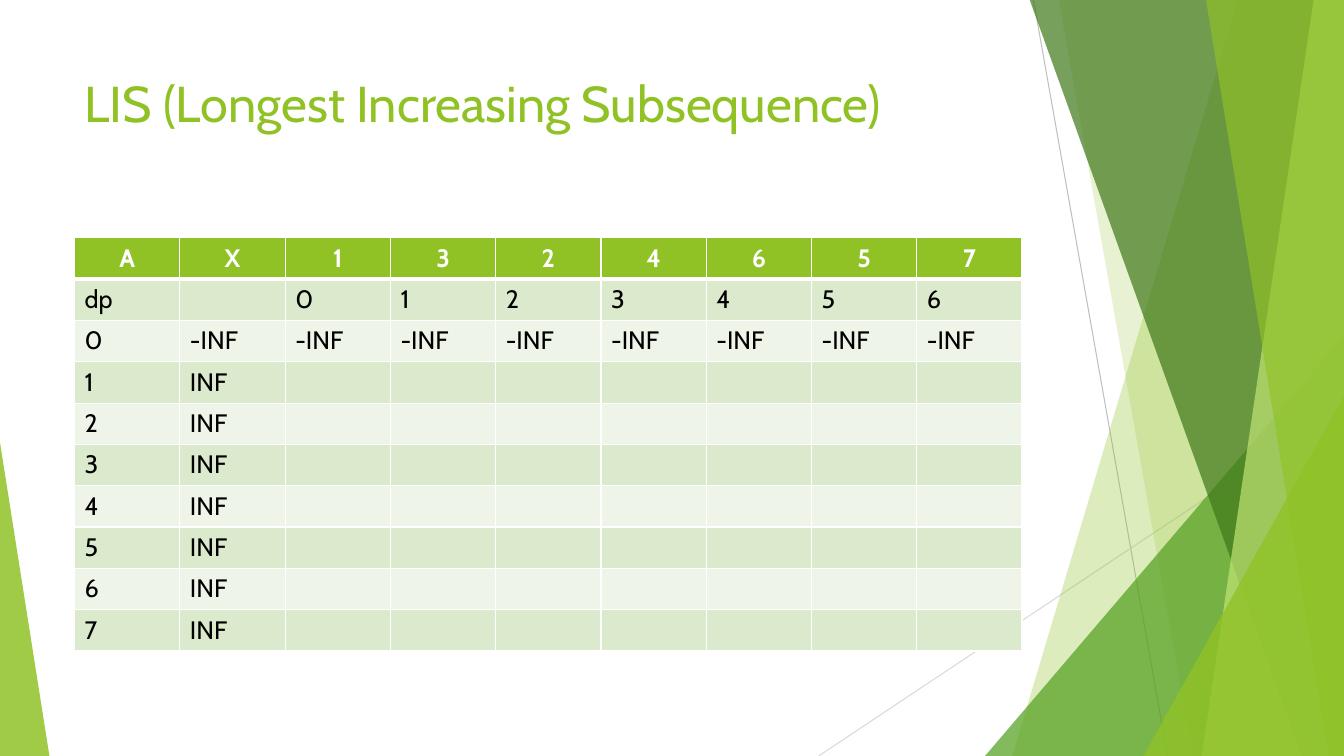
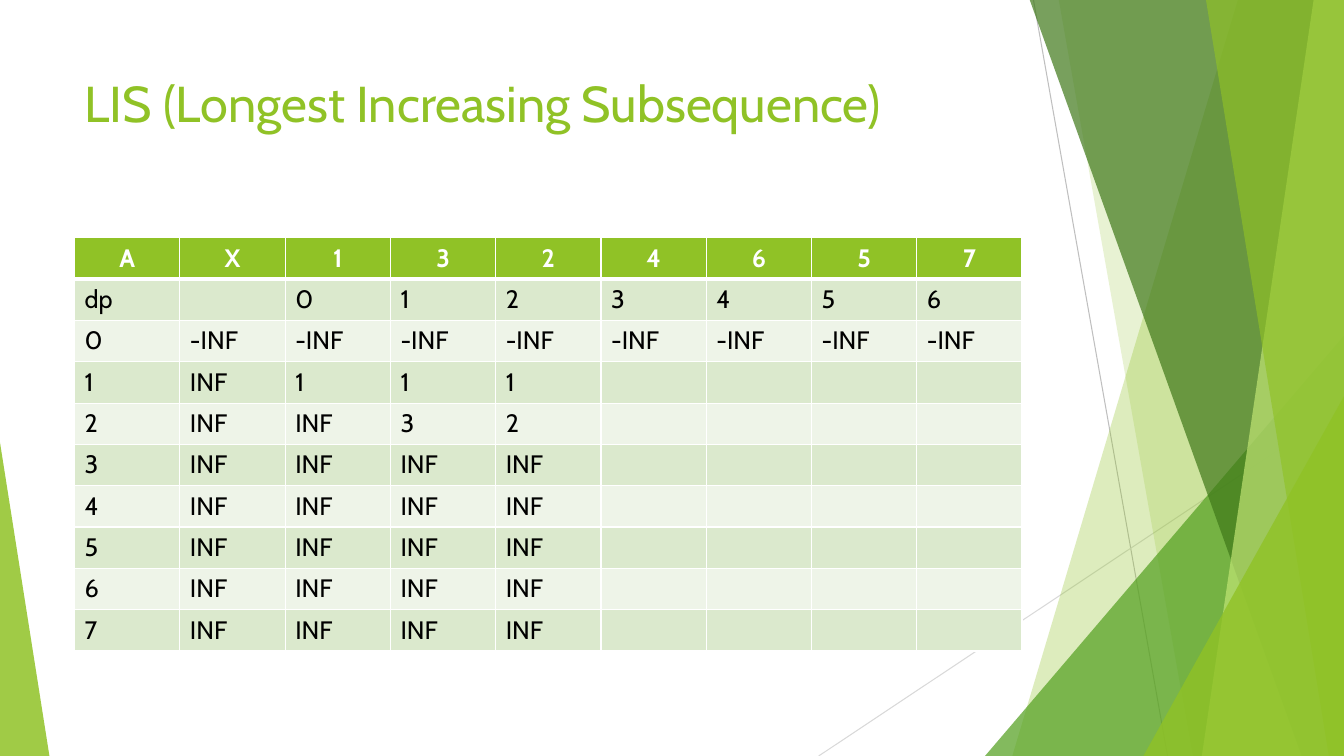
import pptx
import pptx.dml.color
import pptx.enum.shapes
import pptx.enum.text
import pptx.oxml
import pptx.oxml.ns
import pptx.util
from lxml import etree

Inches = pptx.util.Inches
Pt = pptx.util.Pt
RGBColor = pptx.dml.color.RGBColor

GREEN = RGBColor(0x90, 0xC2, 0x26)
LEAF = RGBColor(0x54, 0xA0, 0x21)
FOREST = RGBColor(0x3F, 0x78, 0x19)
LIME = RGBColor(0xC0, 0xE4, 0x74)
BAND_DARK = RGBColor(0xDB, 0xE9, 0xCD)
BAND_LIGHT = RGBColor(0xEE, 0xF4, 0xE8)
GREY = RGBColor(0xBF, 0xBF, 0xBF)
PALE_GREY = RGBColor(0xD9, 0xD9, 0xD9)
WHITE = RGBColor(0xFF, 0xFF, 0xFF)
BLACK = RGBColor(0, 0, 0)
FONT = "Cabin"

WIDTH, HEIGHT = 13.33, 7.5
LEFT, CONTENT_WIDTH = 0.74, 9.4
TABLE_TOP, ROW_HEIGHT = 2.36, 0.41
FACET_TOP = -0.01

TITLE = "LIS (Longest Increasing Subsequence)"
SEQUENCE = ["A", "X", "1", "3", "2", "4", "6", "5", "7"]
INDEXES = ["dp", "", "0", "1", "2", "3", "4", "5", "6"]
LENGTHS = range(1, 8)
START = ["INF"] * 7
AFTER_1 = ["1"] + ["INF"] * 6
AFTER_3 = ["1", "3"] + ["INF"] * 5
AFTER_2 = ["1", "2"] + ["INF"] * 5
STAGES = [[START], [START, AFTER_1, AFTER_3, AFTER_2]]

GUIDE_LINES = [
    ((10.25, 0), (11.58, HEIGHT), GREY),
    ((WIDTH, 4.03), (8.12, HEIGHT), PALE_GREY),
]
FACETS = [
    ("band", (12.28, 10.04), GREEN, 30),
    ("band", (10.5, 11.83), GREEN, 20),
    ("triangle", (9.77, 3.33, 3.56, 1), LEAF, 72),
    ("band", (10.21, 12.91), FOREST, 70),
    ("band", (13.03, 11.92), LIME, 70),
    ("band", (11.96, 13.18), GREEN, 65),
    ("triangle", (11.34, 3.93, 1.99, 1), GREEN, 80),
    ("triangle", (0, 4.39, 0.49, 0), GREEN, 85),
]


def add_guide_line(slide, start, end, color):
    line = slide.shapes.add_connector(
        pptx.enum.shapes.MSO_CONNECTOR.STRAIGHT,
        *[Inches(value) for value in start + end])
    line.line.color.rgb = color
    line.line.width = Pt(0.75)
    etree.SubElement(line.element.spPr, pptx.oxml.ns.qn("a:effectLst"))


def add_band(slide, top_x, bottom_x):
    outline = slide.shapes.build_freeform(
        Inches(top_x), Inches(FACET_TOP), scale=1.0)
    corners = [(WIDTH, FACET_TOP), (WIDTH, HEIGHT), (bottom_x, HEIGHT)]
    outline.add_line_segments(
        [(Inches(x), Inches(y)) for x, y in corners], close=True)
    return outline.convert_to_shape()


def add_triangle(slide, left, top, width, apex):
    triangle = slide.shapes.add_shape(
        pptx.enum.shapes.MSO_SHAPE.ISOSCELES_TRIANGLE,
        Inches(left), Inches(top), Inches(width), Inches(HEIGHT - top))
    triangle.adjustments[0] = apex
    return triangle


def add_backdrop(slide):
    for start, end, color in GUIDE_LINES:
        add_guide_line(slide, start, end, color)
    for kind, geometry, color, opacity in FACETS:
        add_facet = add_band if kind == "band" else add_triangle
        facet = add_facet(slide, *geometry)
        facet.shadow.inherit = False
        facet.line.fill.background()
        facet.fill.solid()
        facet.fill.fore_color.rgb = color
        tint = facet.element.spPr.find(".//" + pptx.oxml.ns.qn("a:srgbClr"))
        etree.SubElement(tint, pptx.oxml.ns.qn("a:alpha"),
                         val=str(opacity * 1000))


def add_run(paragraph, text, size, color, bold=False):
    run = paragraph.add_run()
    run.text = text
    run.font.name = FONT
    run.font.size = Pt(size)
    run.font.color.rgb = color
    run.font.bold = bold


def add_title(slide):
    title = slide.shapes.add_textbox(
        Inches(LEFT), Inches(0.67), Inches(CONTENT_WIDTH), Inches(1.44))
    title.text_frame.word_wrap = True
    add_run(title.text_frame.paragraphs[0], TITLE, 36, GREEN)


def set_borders(cell, row):
    top = 3 if row == 1 else 1
    bottom = 3 if row == 0 else 1
    properties = cell._tc.get_or_add_tcPr()
    sides = [("L", 1), ("R", 1), ("T", top), ("B", bottom)]
    for position, (side, width) in enumerate(sides):
        border = pptx.oxml.parse_xml(
            f'<a:ln{side} {pptx.oxml.ns.nsdecls("a")} w="{Pt(width)}">'
            f'<a:solidFill><a:srgbClr val="{WHITE}"/></a:solidFill>'
            f'</a:ln{side}>')
        properties.insert(position, border)


def stage_rows(stage):
    columns = stage + [[""] * len(LENGTHS)] * (len(SEQUENCE) - 1 - len(stage))
    rows = [SEQUENCE, INDEXES, ["0"] + ["-INF"] * (len(SEQUENCE) - 1)]
    for length, values in zip(LENGTHS, zip(*columns)):
        rows.append([str(length), *values])
    return rows


def add_dp_table(slide, rows):
    table = slide.shapes.add_table(
        len(rows), len(SEQUENCE), Inches(LEFT), Inches(TABLE_TOP),
        Inches(CONTENT_WIDTH), Inches(ROW_HEIGHT * len(rows))).table
    table.first_row = False
    table.horz_banding = False
    for r, row in enumerate(rows):
        header = r == 0
        band = GREEN if header else (BAND_LIGHT, BAND_DARK)[r % 2]
        for c, text in enumerate(row):
            cell = table.cell(r, c)
            cell.fill.solid()
            cell.fill.fore_color.rgb = band
            set_borders(cell, r)
            paragraph = cell.text_frame.paragraphs[0]
            if header:
                paragraph.alignment = pptx.enum.text.PP_ALIGN.CENTER
            if text:
                add_run(paragraph, text, 18, WHITE if header else BLACK, header)


def main():
    deck = pptx.Presentation()
    deck.slide_width = Inches(WIDTH)
    deck.slide_height = Inches(HEIGHT)
    for stage in STAGES:
        slide = deck.slides.add_slide(deck.slide_layouts[6])
        add_backdrop(slide)
        add_title(slide)
        add_dp_table(slide, stage_rows(stage))
    deck.save("out.pptx")


if __name__ == "__main__":
    main()
